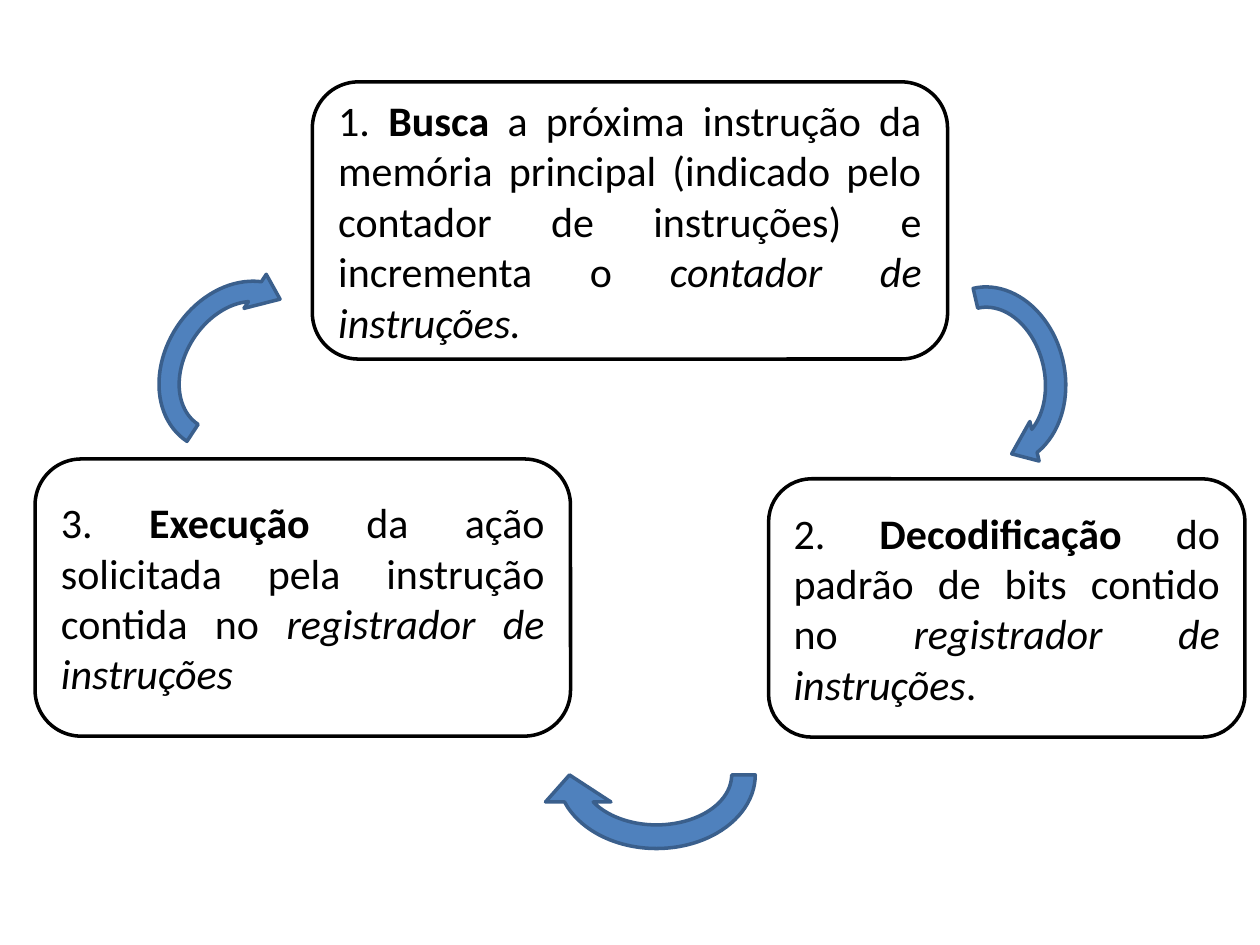
from pptx import Presentation
from pptx.dml.color import RGBColor
from pptx.enum.shapes import MSO_SHAPE
from pptx.enum.text import MSO_ANCHOR, PP_ALIGN
from pptx.util import Pt

ROUNDED, CIRCULAR = MSO_SHAPE.ROUNDED_RECTANGLE, MSO_SHAPE.CIRCULAR_ARROW
MIDDLE, JUSTIFY = MSO_ANCHOR.MIDDLE, PP_ALIGN.JUSTIFY

BLACK = RGBColor(0x00, 0x00, 0x00)
BLUE = RGBColor(0x4F, 0x81, 0xBD)
DARK_BLUE = RGBColor(0x3A, 0x5F, 0x8C)

PLAIN, BOLD, ITALIC = {}, {"bold": True}, {"italic": True}
BASE_FONT = {"name": "Calibri", "size": Pt(24), "bold": False, "italic": False}

# Boxes are left, top, width, height in points
STEPS = [
    ((178.5, 46.8, 363, 158.4), [
        ("1. ", PLAIN), ("Busca", BOLD),
        (" a próxima instrução da memória principal (indicado pelo "
         "contador de instruções) e incrementa o ", PLAIN),
        ("contador de instruções.", ITALIC)]),
    ((439.2, 273.6, 272.2, 147.6), [
        ("2. ", PLAIN), ("Decodificação", BOLD),
        (" do padrão de bits contido no ", PLAIN),
        ("registrador de instruções", ITALIC), (".", PLAIN)]),
    ((20, 262.3, 306, 158.4), [
        ("3. ", PLAIN), ("Execução", BOLD),
        (" da ação solicitada pela instrução contida no ", PLAIN),
        ("registrador de instruções", ITALIC)]),
]

# Box, rotation in degrees, size of the arrowhead
ARROWS = [
    ((510.5, 168.5, 114.5, 92.9), 76.9, 0.125),
    ((306.7, 388.8, 136.8, 108), 180, 0.173),
    ((77.8, 162.7, 114.5, 92.9), 303.2, 0.125),
]


def add_outlined(slide, preset, box, line_color):
    shape = slide.shapes.add_shape(preset, *map(Pt, box))
    shape.shadow.inherit = False
    shape.line.color.rgb = line_color
    shape.line.width = Pt(2)
    return shape


def add_step(slide, box, runs):
    step = add_outlined(slide, ROUNDED, box, BLACK)
    step.fill.background()
    frame = step.text_frame
    frame.word_wrap = True
    frame.vertical_anchor = MIDDLE
    sentence = frame.paragraphs[0]
    sentence.alignment = JUSTIFY
    for text, emphasis in runs:
        run = sentence.add_run()
        run.text = text
        run.font.color.rgb = BLACK
        for attribute, value in (BASE_FONT | emphasis).items():
            setattr(run.font, attribute, value)


def add_cycle_arrow(slide, box, rotation, head):
    arrow = add_outlined(slide, CIRCULAR, box, DARK_BLUE)
    arrow.fill.solid()
    arrow.fill.fore_color.rgb = BLUE
    arrow.rotation = rotation
    arrow.adjustments[4] = head


def main():
    deck = Presentation()
    deck.slide_width, deck.slide_height = Pt(720), Pt(540)
    slide = deck.slides.add_slide(deck.slide_layouts[6])

    # Instruction cycle: steps, then the arrows between them
    for step in STEPS:
        add_step(slide, *step)
    for arrow in ARROWS:
        add_cycle_arrow(slide, *arrow)

    deck.save("out.pptx")


if __name__ == "__main__":
    main()
